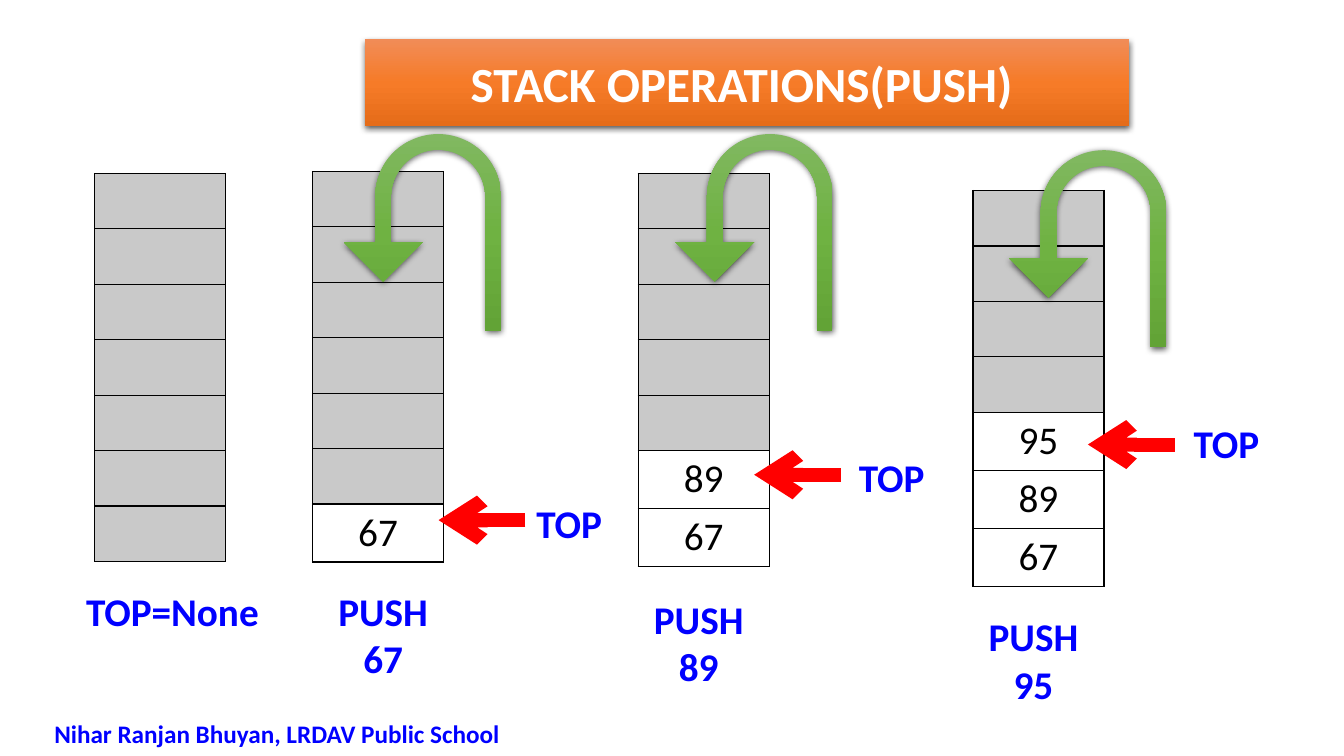
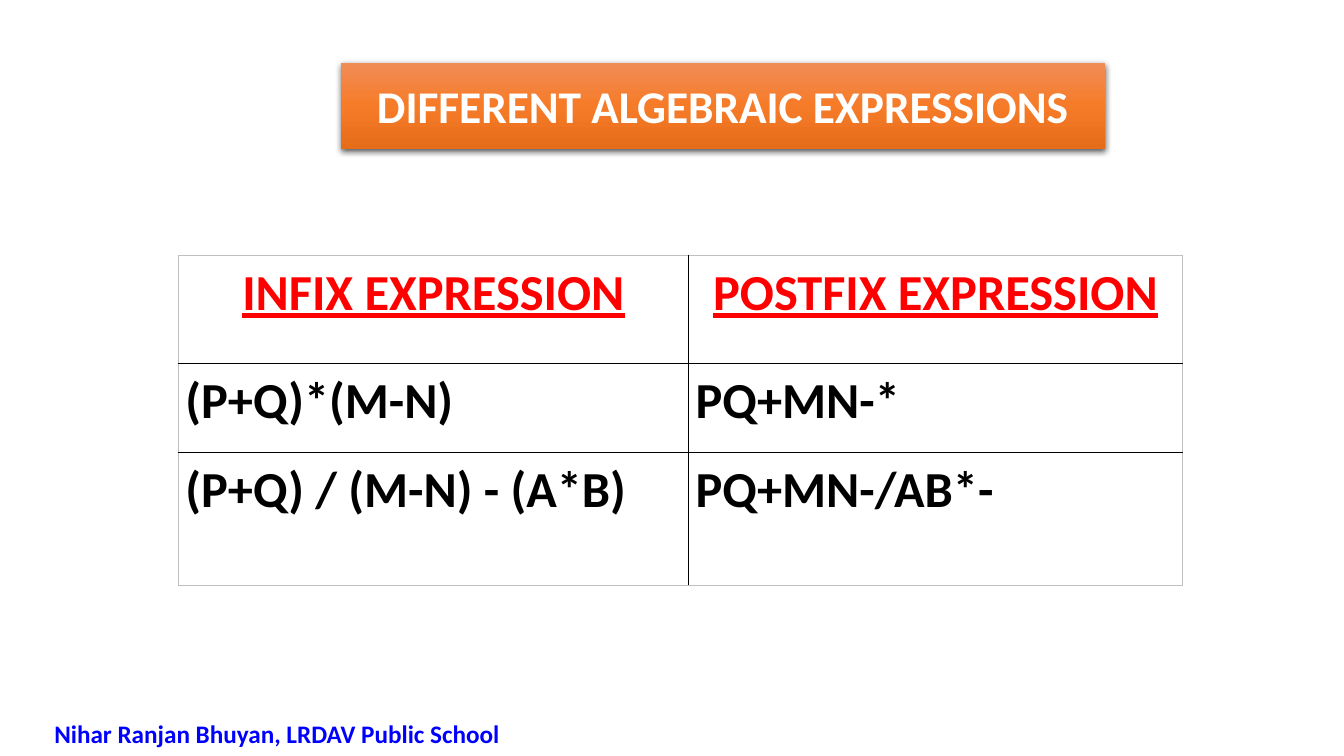
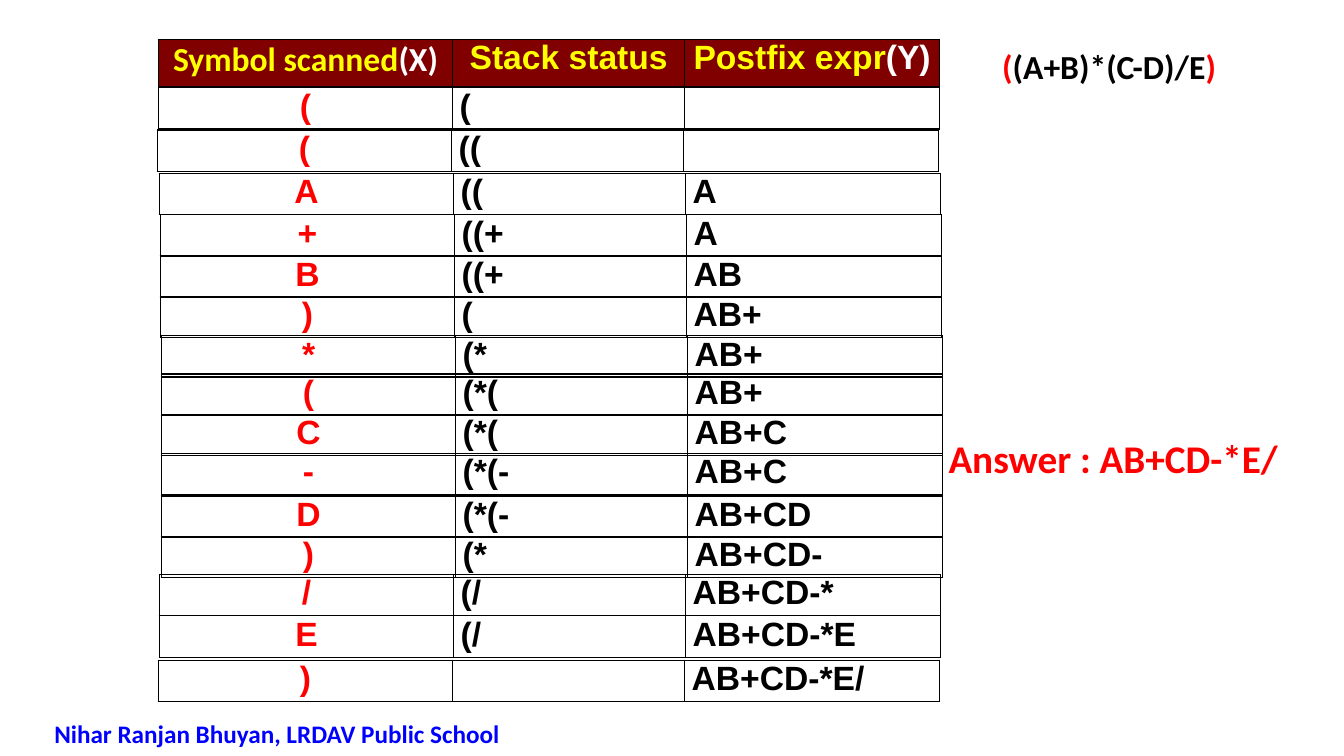
"""Build three slides on stack push operations and infix to postfix conversion."""
from pptx import Presentation
from pptx.dml.color import RGBColor
from pptx.enum.shapes import MSO_CONNECTOR, MSO_SHAPE
from pptx.enum.text import MSO_ANCHOR, MSO_AUTO_SIZE, PP_ALIGN
from pptx.oxml import parse_xml
from pptx.oxml.ns import nsdecls
from pptx.util import Inches, Pt

LEFT, CENTER = PP_ALIGN.LEFT, PP_ALIGN.CENTER
MIDDLE, NO_AUTOFIT = MSO_ANCHOR.MIDDLE, MSO_AUTO_SIZE.NONE
UTURN_ARROW, STRAIGHT = MSO_SHAPE.U_TURN_ARROW, MSO_CONNECTOR.STRAIGHT

WHITE = RGBColor(0xFF, 0xFF, 0xFF)
BLACK = RGBColor(0x00, 0x00, 0x00)
BLUE = RGBColor(0x00, 0x00, 0xFF)
RED = RGBColor(0xFF, 0x00, 0x00)
YELLOW = RGBColor(0xFF, 0xFF, 0x00)
MAROON = RGBColor(0x80, 0x00, 0x00)
EMPTY_GRAY = RGBColor(0xC9, 0xC9, 0xC9)
FRAME_GRAY = RGBColor(0xBF, 0xBF, 0xBF)
ORANGES = (RGBColor(0xF1, 0x8C, 0x57), RGBColor(0xF6, 0x7B, 0x28), RGBColor(0xE5, 0x6C, 0x19))
GREENS = (RGBColor(0x81, 0xB8, 0x61), RGBColor(0x6F, 0xB2, 0x42), RGBColor(0x62, 0xA3, 0x36))
FOOTER = "Nihar Ranjan Bhuyan, LRDAV Public School"


def write_runs(paragraph, pieces, size, align=LEFT, font="Calibri", bold=True, underline=False):
    """Write (text, colour) pieces into a paragraph as formatted runs."""
    paragraph.alignment = align
    for text, color in pieces:
        run = paragraph.add_run()
        run.text = text
        run.font.name = font
        run.font.size = Pt(size)
        run.font.bold = bold
        run.font.underline = underline
        run.font.color.rgb = color


def add_grid(slide, left, top, widths, heights, inset_x=0.1, inset_y=0.05, frame=BLACK):
    """Add an unfilled table with black inner rules and a chosen outer frame."""
    table = slide.shapes.add_table(
        len(heights), len(widths), Inches(left), Inches(top),
        Inches(sum(widths)), Inches(sum(heights))).table
    table.first_row = table.horz_banding = False
    for column, width in zip(table.columns, widths):
        column.width = Inches(width)
    last_row, last_column = len(heights) - 1, len(widths) - 1
    for row_index, height in enumerate(heights):
        table.rows[row_index].height = Inches(height)
        for column_index in range(len(widths)):
            cell = table.cell(row_index, column_index)
            cell.margin_left = cell.margin_right = Inches(inset_x)
            cell.margin_top = cell.margin_bottom = Inches(inset_y)
            sides = {"L": column_index == 0, "R": column_index == last_column,
                     "T": row_index == 0, "B": row_index == last_row}
            for side, is_outer in sides.items():
                color = frame if is_outer else BLACK
                width = 12700 if color == BLACK else 6350
                cell._tc.get_or_add_tcPr().append(parse_xml(
                    f'<a:ln{side} {nsdecls("a")} w="{width}"><a:solidFill>'
                    f'<a:srgbClr val="{color}"/></a:solidFill></a:ln{side}>'))
            cell.fill.background()
    return table


presentation = Presentation()
presentation.slide_width = Inches(13.33)
presentation.slide_height = Inches(7.5)
title_only, blank = presentation.slide_layouts[5], presentation.slide_layouts[6]
push_slide, expression_slide, conversion_slide = [
    presentation.slides.add_slide(layout) for layout in (title_only, title_only, blank)]
glossy_shapes = []
labels = []

titles = [
    (push_slide, 3.62, 0.39, 35.1, "STACK OPERATIONS(PUSH) "),
    (expression_slide, 3.38, 0.62, 32.4, "DIFFERENT ALGEBRAIC EXPRESSIONS"),
]
for slide, left, top, size, text in titles:
    title = slide.shapes.title
    title.left, title.top = Inches(left), Inches(top)
    title.width, title.height = Inches(7.58), Inches(0.86)
    title.text_frame.auto_size = NO_AUTOFIT
    title.text_frame.vertical_anchor = MIDDLE
    write_runs(title.text_frame.paragraphs[0], [(text, WHITE)], size, CENTER)
    glossy_shapes.append((title, ORANGES))

stacks = [(0.94, 1.72, []), (3.1, 1.7, ["67"]), (6.33, 1.72, ["89", "67"]),
          (9.65, 1.89, ["95", "89", "67"])]
for left, top, values in stacks:
    stack = add_grid(push_slide, left, top, [1.3], [0.55] * 7)
    for cell, value in zip(stack.iter_cells(), [None] * (7 - len(values)) + values):
        cell.fill.solid()
        cell.fill.fore_color.rgb = WHITE if value else EMPTY_GRAY
        if value:
            write_runs(cell.text_frame.paragraphs[0], [(value, BLACK)], 28, CENTER, bold=False)

labels.append((push_slide, 0.46, 5.78, 2.5, 0.57, 28, CENTER, [("TOP=None", BLUE)]))
pushes = [
    ("67", 3.07, 5.78, 5.06, 4.9, 4.35, 5.16, 3.41, 1.33),
    ("89", 6.2, 5.86, 8.26, 4.45, 7.48, 4.71, 6.7, 1.33),
    ("95", 9.52, 6.03, 11.58, 4.11, 10.79, 4.41, 10.01, 1.49),
]
for value, push_left, push_top, top_left, top_top, tip_x, tip_y, turn_left, turn_top in pushes:
    labels.append((push_slide, push_left, push_top, 1.46, 1.04, 28, CENTER,
                   [("PUSH " + value, BLUE)]))
    labels.append((push_slide, top_left, top_top, 1.17, 0.57, 28, CENTER, [("TOP", BLUE)]))

    pointer = push_slide.shapes.add_connector(
        STRAIGHT, Inches(tip_x + 0.86), Inches(tip_y), Inches(tip_x), Inches(tip_y))
    pointer.line.color.rgb = RED
    pointer.line.width = Pt(10)
    pointer.line._get_or_add_ln().append(parse_xml(f'<a:tailEnd {nsdecls("a")} type="arrow"/>'))
    pointer._element.spPr.append(parse_xml(f'<a:effectLst {nsdecls("a")}/>'))

    turn = push_slide.shapes.add_shape(
        UTURN_ARROW, Inches(turn_left), Inches(turn_top), Inches(1.56), Inches(1.95))
    for index, adjustment in enumerate((0.1, 0.25, 0.25, 0.44, 0.75)):
        turn.adjustments[index] = adjustment
    turn._element.spPr.xfrm.set("flipH", "1")
    glossy_shapes.append((turn, GREENS))

for shape, colors in glossy_shapes:
    stops = "".join(f'<a:gs pos="{index * 50000}"><a:srgbClr val="{color}"/></a:gs>'
                    for index, color in enumerate(colors))
    for xml in (
        f'<a:gradFill {nsdecls("a")} rotWithShape="1"><a:gsLst>{stops}</a:gsLst>'
        '<a:lin ang="5400000" scaled="0"/></a:gradFill>',
        f'<a:ln {nsdecls("a")}><a:noFill/></a:ln>',
        f'<a:effectLst {nsdecls("a")}><a:outerShdw blurRad="57150" dist="19050" dir="5400000" '
        'algn="ctr" rotWithShape="0"><a:srgbClr val="000000"><a:alpha val="63000"/>'
        '</a:srgbClr></a:outerShdw></a:effectLst>',
    ):
        shape._element.spPr.append(parse_xml(xml))

expressions = [
    ("INFIX EXPRESSION", "POSTFIX EXPRESSION"),
    ("(P+Q)*(M-N)", "PQ+MN-*"),
    ("(P+Q) / (M-N) - (A*B)", "PQ+MN-/AB*-"),
]
expression_table = add_grid(expression_slide, 1.77, 2.53, [5.06, 4.9], [1.08, 0.88, 1.32],
                            0.07, 0.07, FRAME_GRAY)
for row_index, row in enumerate(expressions):
    is_header = row_index == 0
    for column_index, text in enumerate(row):
        cell = expression_table.cell(row_index, column_index)
        cell.fill.solid()
        cell.fill.fore_color.rgb = WHITE
        write_runs(cell.text_frame.paragraphs[0], [(text, RED if is_header else BLACK)], 36,
                   CENTER if is_header else LEFT, underline=is_header)

scan_columns = [2.92, 2.3, 2.53]
header = add_grid(conversion_slide, 1.57, 0.39, scan_columns, [0.47], 0.07, 0)
headings = [
    ("Calibri", [("Symbol scanned", YELLOW), ("(X)", WHITE)]),
    ("Arial", [("Stack status", YELLOW)]),
    ("Arial", [("Postfix expr", YELLOW), ("(Y)", WHITE)]),
]
for cell, (font, pieces) in zip(header.iter_cells(), headings):
    cell.fill.solid()
    cell.fill.fore_color.rgb = MAROON
    write_runs(cell.text_frame.paragraphs[0], pieces, 24, CENTER, font)

scan_steps = [
    (1.57, 0.87, "(", "(", ""),
    (1.56, 1.29, "(", "((", ""),
    (1.58, 1.72, "A", "((", "A"),
    (1.59, 2.13, "+", "((+", "A"),
    (1.59, 2.54, "B", "((+", "AB"),
    (1.59, 2.94, ")", "(", "AB+"),
    (1.6, 3.33, "*", "(*", "AB+"),
    (1.6, 3.71, "(", "(*(", "AB+"),
    (1.6, 4.11, "C", "(*(", "AB+C"),
    (1.6, 4.5, "-", "(*(-", "AB+C"),
    (1.6, 4.92, "D", "(*(-", "AB+CD"),
    (1.6, 5.32, ")", "(*", "AB+CD-"),
    (1.58, 5.7, "/", "(/", "AB+CD-*"),
    (1.58, 6.11, "E", "(/", "AB+CD-*E"),
    (1.57, 6.55, ")", "", "AB+CD-*E/"),
]
for left, top, *texts in scan_steps:
    step = add_grid(conversion_slide, left, top, scan_columns, [0.41], 0.07, 0)
    for cell, text, color, align in zip(step.iter_cells(), texts, (RED, BLACK, BLACK),
                                        (CENTER, LEFT, LEFT)):
        if text:
            write_runs(cell.text_frame.paragraphs[0], [(text, color)], 24, align, "Arial")

labels.append((conversion_slide, 9.31, 4.26, 3.53, 0.57, 28, LEFT,
               [("Answer : AB+CD-*E/", RED)]))
labels.append((conversion_slide, 9.49, 0.41, 3.02, 0.5, 24, CENTER,
               [("(", RED), ("(A+B)*(C-D)/E", BLACK), (")", RED)]))
for slide in presentation.slides:
    labels.append((slide, 0.44, 7.08, 4.77, 0.4, 18, LEFT, [(FOOTER, BLUE)]))

for slide, left, top, width, height, size, align, pieces in labels:
    label = slide.shapes.add_textbox(Inches(left), Inches(top), Inches(width), Inches(height))
    label.text_frame.word_wrap = True
    write_runs(label.text_frame.paragraphs[0], pieces, size, align)

presentation.save("out.pptx")
